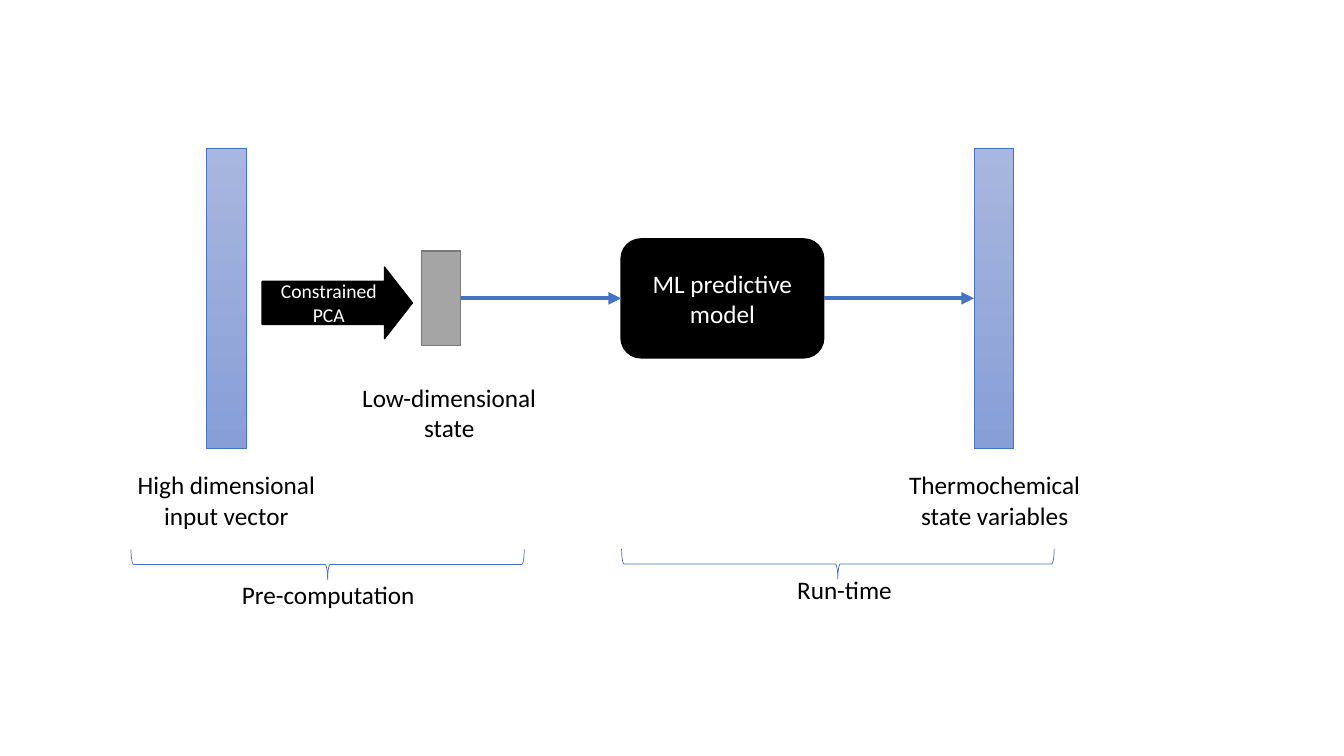
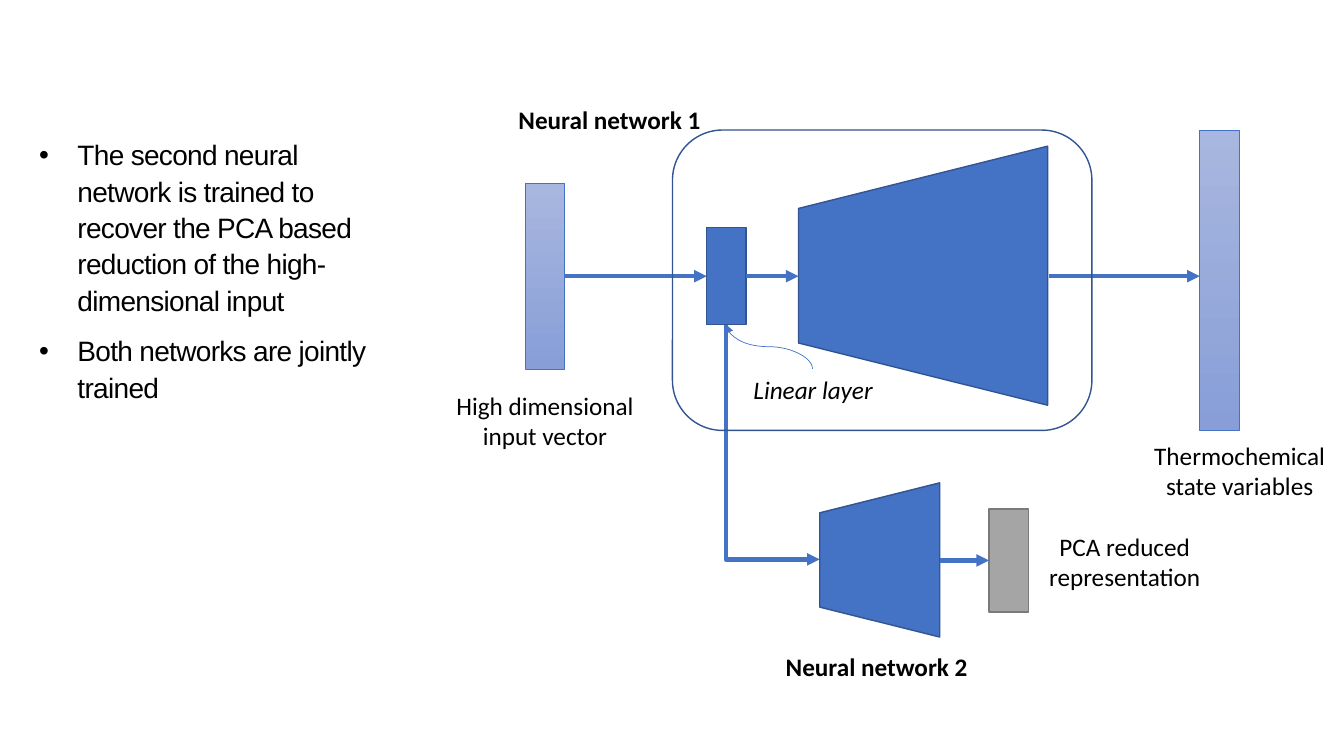
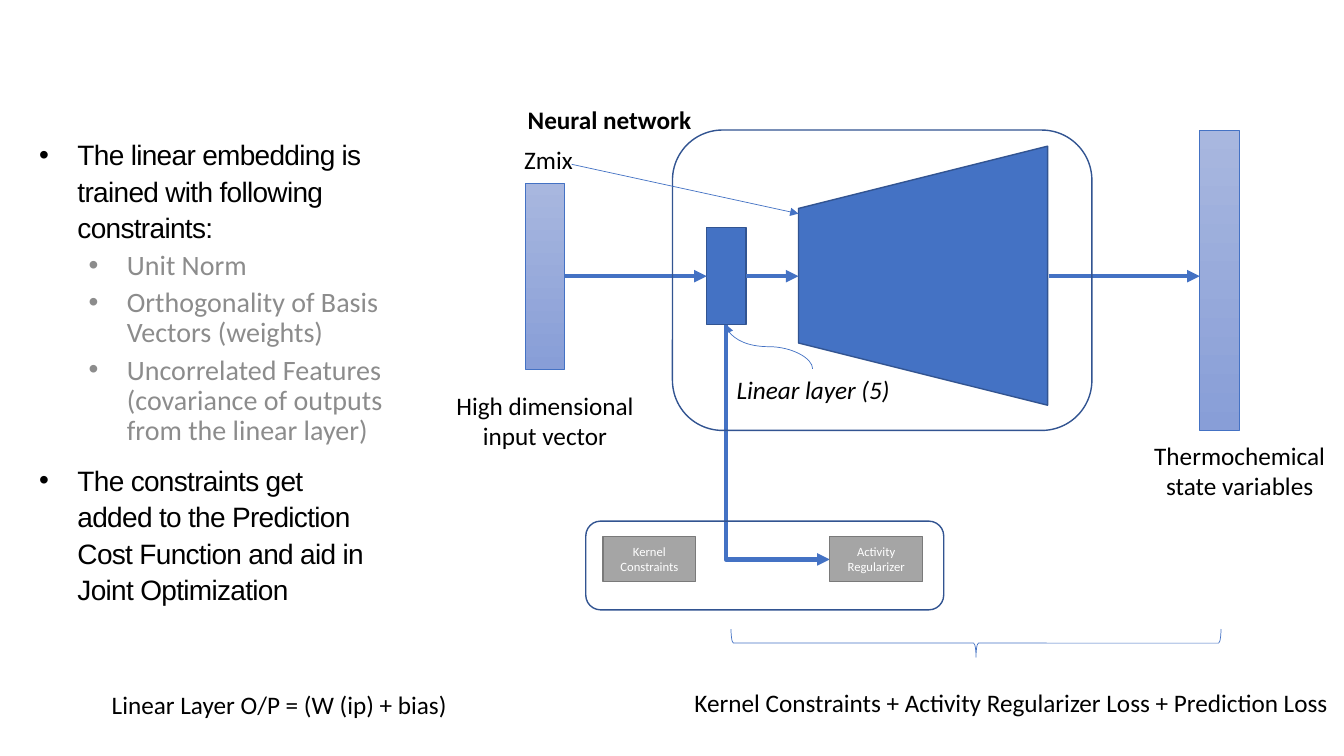
from dataclasses import dataclass

from pptx import Presentation
from pptx.dml.color import RGBColor
from pptx.enum.shapes import MSO_CONNECTOR, MSO_SHAPE
from pptx.enum.text import MSO_ANCHOR, MSO_AUTO_SIZE, PP_ALIGN
from pptx.oxml.ns import qn
from pptx.oxml.xmlchemy import OxmlElement
from pptx.util import Inches, Pt

RECT = MSO_SHAPE.RECTANGLE
ROUND = MSO_SHAPE.ROUNDED_RECTANGLE
TRAPEZOID = MSO_SHAPE.TRAPEZOID
RIGHT_ARROW = MSO_SHAPE.RIGHT_ARROW
LEFT_BRACE = MSO_SHAPE.LEFT_BRACE
RIGHT_BRACE = MSO_SHAPE.RIGHT_BRACE
STRAIGHT = MSO_CONNECTOR.STRAIGHT
ELBOW = MSO_CONNECTOR.ELBOW
CURVE = MSO_CONNECTOR.CURVE
CENTER = PP_ALIGN.CENTER
MIDDLE = MSO_ANCHOR.MIDDLE
GROW = MSO_AUTO_SIZE.SHAPE_TO_FIT_TEXT
LEFT, BOTTOM, RIGHT = 1, 2, 3  # connection sites


@dataclass(frozen=True)
class Theme:
    blue: str = "4472C4"
    blue_edge: str = "325491"
    bar_top: str = "A8B7DF"
    bar_bottom: str = "889ED7"
    gray: str = "A5A5A5"
    gray_edge: str = "7A7A7A"
    muted: str = "8C8C8C"
    black: str = "000000"
    white: str = "FFFFFF"
    font: str = "Calibri"
    body_font: str = "Arial"
    label: int = 18
    body: int = 20
    arrow_text: int = 14
    small: int = 9
    hair: float = 0.5
    edge: float = 1
    thick: float = 3


T = Theme()


def rgb(value):
    return RGBColor.from_string(value)


class Deck:
    """Holds the presentation, the style and the current slide."""

    def __init__(self):
        self.prs = Presentation()
        self.prs.slide_width = Inches(13.33)
        self.prs.slide_height = Inches(7.5)
        self.s = None

    def slide(self):
        self.s = self.prs.slides.add_slide(self.prs.slide_layouts[6])

    def run(self, p, text, size, color, font=T.font, bold=False, italic=False):
        r = p.add_run()
        r.text = text
        f = r.font
        f.name, f.size, f.bold, f.italic = font, Pt(size), bold, italic
        f.color.rgb = rgb(color)
        return r

    def shape(self, kind, x, y, w, h, fill=None, edge=T.blue_edge, width=T.edge,
              text="", size=T.label, rot=0, adj=()):
        sp = self.s.shapes.add_shape(kind, Inches(x), Inches(y), Inches(w), Inches(h))
        sp.shadow.inherit = False
        sp.rotation = rot
        for i, value in enumerate(adj):
            sp.adjustments[i] = value
        if fill:
            sp.fill.solid()
            sp.fill.fore_color.rgb = rgb(fill)
        else:
            sp.fill.background()
        sp.line.color.rgb = rgb(edge)
        sp.line.width = Pt(width)
        if text:
            tf = sp.text_frame
            tf.word_wrap = True
            tf.vertical_anchor = MIDDLE
            p = tf.paragraphs[0]
            p.alignment = CENTER
            self.run(p, text, size, T.white)
        return sp

    def bar(self, x, y, h):
        """Tall vector with a vertical gradient."""
        sp = self.shape(RECT, x, y, 0.39, h, edge=T.blue, width=T.hair)
        sp.fill.gradient()
        sp.fill.gradient_angle = 270
        for stop, color in zip(sp.fill.gradient_stops, (T.bar_top, T.bar_bottom)):
            stop.color.rgb = rgb(color)
        return sp

    def gray_box(self, x, y, w, h, text=""):
        return self.shape(RECT, x, y, w, h, T.gray, T.gray_edge, text=text, size=T.small)

    def brace(self, kind, x, y, w, h, rot):
        return self.shape(kind, x, y, w, h, edge=T.blue, width=T.hair, rot=rot)

    def label(self, text, x, y, lines=1, w=2.41, bold=False, italic=False):
        h = 0.71 if lines == 2 else 0.4
        tb = self.s.shapes.add_textbox(Inches(x), Inches(y), Inches(w), Inches(h))
        tf = tb.text_frame
        tf.word_wrap = True
        tf.auto_size = GROW
        p = tf.paragraphs[0]
        p.alignment = CENTER
        self.run(p, text, T.label, T.black, bold=bold, italic=italic)

    def bullets(self, items):
        """Body text from (level, text) pairs."""
        tb = self.s.shapes.add_textbox(Inches(0.29), Inches(1.29), Inches(3.61), Inches(3.24))
        tf = tb.text_frame
        tf.word_wrap = True
        for i, (level, text) in enumerate(items):
            p = tf.add_paragraph() if i else tf.paragraphs[0]
            p.level = level
            p.line_spacing = 0.9 if level else Pt(26)
            p.space_before = Pt(5 if level else 10)
            if level:
                self.run(p, text, T.body, T.muted)
            else:
                r = self.run(p, text, T.body, T.black, T.body_font)
                r.font._element.set("spc", "-50")
            pPr = p._p.get_or_add_pPr()
            pPr.set("marL", str(Inches(0.87 if level else 0.38)))
            pPr.set("indent", str(-Inches(0.38)))
            for tag, key, value in (("a:buFont", "typeface", T.body_font),
                                    ("a:buChar", "char", "•")):
                el = OxmlElement(tag)
                el.set(key, value)
                pPr.append(el)

    def arrow(self, start, end, width=T.thick, kind=STRAIGHT, begin_on=None, end_on=None):
        c = self.s.shapes.add_connector(kind, *(Inches(v) for v in (*start, *end)))
        c.line.color.rgb = rgb(T.blue)
        c.line.width = Pt(width)
        spPr = c.element.spPr
        tail = OxmlElement("a:tailEnd")
        tail.set("type", "triangle")
        spPr.find(qn("a:ln")).append(tail)
        spPr.append(OxmlElement("a:effectLst"))
        if begin_on is not None:
            c.begin_connect(begin_on, RIGHT)
        if end_on is not None:
            c.end_connect(end_on, LEFT)
        return c

    def upright_arrow(self, start, end, width, kind, preset):
        """Bent or curved arrow that leaves vertically: laid flat, then turned by 270°."""
        (x1, y1), (x2, y2) = start, end
        cx, cy = (x1 + x2) / 2, (y1 + y2) / 2
        dx, dy = (x2 - x1) / 2, (y2 - y1) / 2
        c = self.arrow((cx + dy, cy - dx), (cx - dy, cy + dx), width, kind)
        spPr = c.element.spPr
        spPr.find(qn("a:xfrm")).set("rot", str(270 * 60000))
        spPr.find(qn("a:prstGeom")).set("prst", preset)

    def network(self, title, layer_text, branch_end):
        """Input vector, linear layer, decoder and output vector."""
        axis = 2.74
        source = self.bar(5.21, 1.82, 1.84)
        self.label("High dimensional input vector", 4.2, 3.82, 2)
        layer = self.shape(RECT, 7.01, 2.26, 0.39, 0.96, T.blue)
        self.bar(11.9, 1.29, 2.98)
        self.label("Thermochemical state variables", 11.09, 4.32, 2)
        self.arrow((10.4, axis), (11.9, axis))
        self.shape(TRAPEZOID, 7.87, 1.5, 2.57, 2.47, T.blue, rot=270)
        self.arrow((5.6, axis), (7.01, axis), begin_on=source, end_on=layer)
        self.arrow((7.4, axis), (7.92, axis), begin_on=layer)
        layer_foot = (7.2, 3.22)
        self.upright_arrow(layer_foot, branch_end, T.thick, ELBOW, "bentConnector2")
        self.shape(ROUND, 6.67, 1.29, 4.16, 2.98)
        self.label(title, 4.84, 0.99, bold=True)
        self.label(layer_text, 6.86, 3.66, italic=True)
        self.upright_arrow((8.06, 3.66), layer_foot, T.hair, CURVE, "curvedConnector3")


def pipeline_slide(d):
    d.slide()
    axis = 2.96
    # Vectors and model
    d.bar(2.05, 1.47, 2.98)
    d.label("High dimensional input vector", 1.04, 4.61, 2)
    state = d.gray_box(4.18, 2.49, 0.39, 0.94)
    d.label("Low-dimensional state", 3.25, 3.74, 2)
    model = d.shape(ROUND, 6.16, 2.37, 2.01, 1.18, T.black, T.black,
                    text="ML predictive model")
    output = d.bar(9.66, 1.47, 2.98)
    d.label("Thermochemical state variables", 8.66, 4.61, 2)
    # Phases
    d.brace(LEFT_BRACE, 8.16, 3.45, 0.3, 4.29, 270)
    d.label("Run-time", 7.17, 5.65)
    d.brace(LEFT_BRACE, 3.1, 3.65, 0.3, 3.9, 270)
    d.label("Pre-computation", 2.05, 5.7)
    # Flow
    d.shape(RIGHT_ARROW, 2.6, 2.65, 1.49, 0.71, T.black, T.black,
            text="Constrained PCA", size=T.arrow_text, adj=(0.6, 0.39))
    d.arrow((4.57, axis), (6.16, axis), begin_on=state, end_on=model)
    d.arrow((8.17, axis), (9.66, axis), begin_on=model, end_on=output)


def two_networks_slide(d):
    d.slide()
    d.bullets([
        (0, "The second neural network is trained to recover the PCA based "
            "reduction of the high-dimensional input"),
        (0, "Both networks are jointly trained"),
    ])
    d.network("Neural network 1", "Linear layer", (8.13, 5.55))
    # Second network
    reduced = d.gray_box(9.81, 5.05, 0.39, 1.02)
    d.shape(TRAPEZOID, 7.96, 4.96, 1.53, 1.19, T.blue, rot=270)
    d.label("PCA reduced representation", 9.95, 5.22, 2)
    d.arrow((9.32, 5.56), (9.81, 5.56), end_on=reduced)
    d.label("Neural network 2", 7.49, 6.41, bold=True)


def constraints_slide(d):
    d.slide()
    d.bullets([
        (0, "The linear embedding is trained with following constraints:"),
        (1, "Unit Norm"),
        (1, "Orthogonality of Basis Vectors (weights)"),
        (1, "Uncorrelated Features (covariance of outputs from the linear layer)"),
        (0, "The constraints get added to the Prediction Cost Function and aid "
            "in Joint Optimization"),
    ])
    d.network("Neural network", "Linear layer (5)", (8.23, 5.55))
    # Constraints
    for x, text in ((5.98, "Kernel Constraints"), (8.23, "Activity Regularizer")):
        d.gray_box(x, 5.32, 0.92, 0.45, text)
    d.shape(ROUND, 5.81, 5.17, 3.55, 0.88)
    # Formulas
    d.brace(RIGHT_BRACE, 9.54, 3.95, 0.28, 4.86, 90)
    d.label("Kernel Constraints + Activity Regularizer Loss + Prediction Loss",
            6.75, 6.77, w=6.56)
    d.label("Linear Layer O/P = (W (ip) + bias)", -0.51, 6.79, w=6.56)
    # Extra input
    d.arrow((5.67, 1.63), (7.92, 2.12), T.hair)
    d.label("Zmix", 5.01, 1.38, w=0.86)


def main():
    d = Deck()
    pipeline_slide(d)
    two_networks_slide(d)
    constraints_slide(d)
    d.prs.save("out.pptx")


if __name__ == "__main__":
    main()
